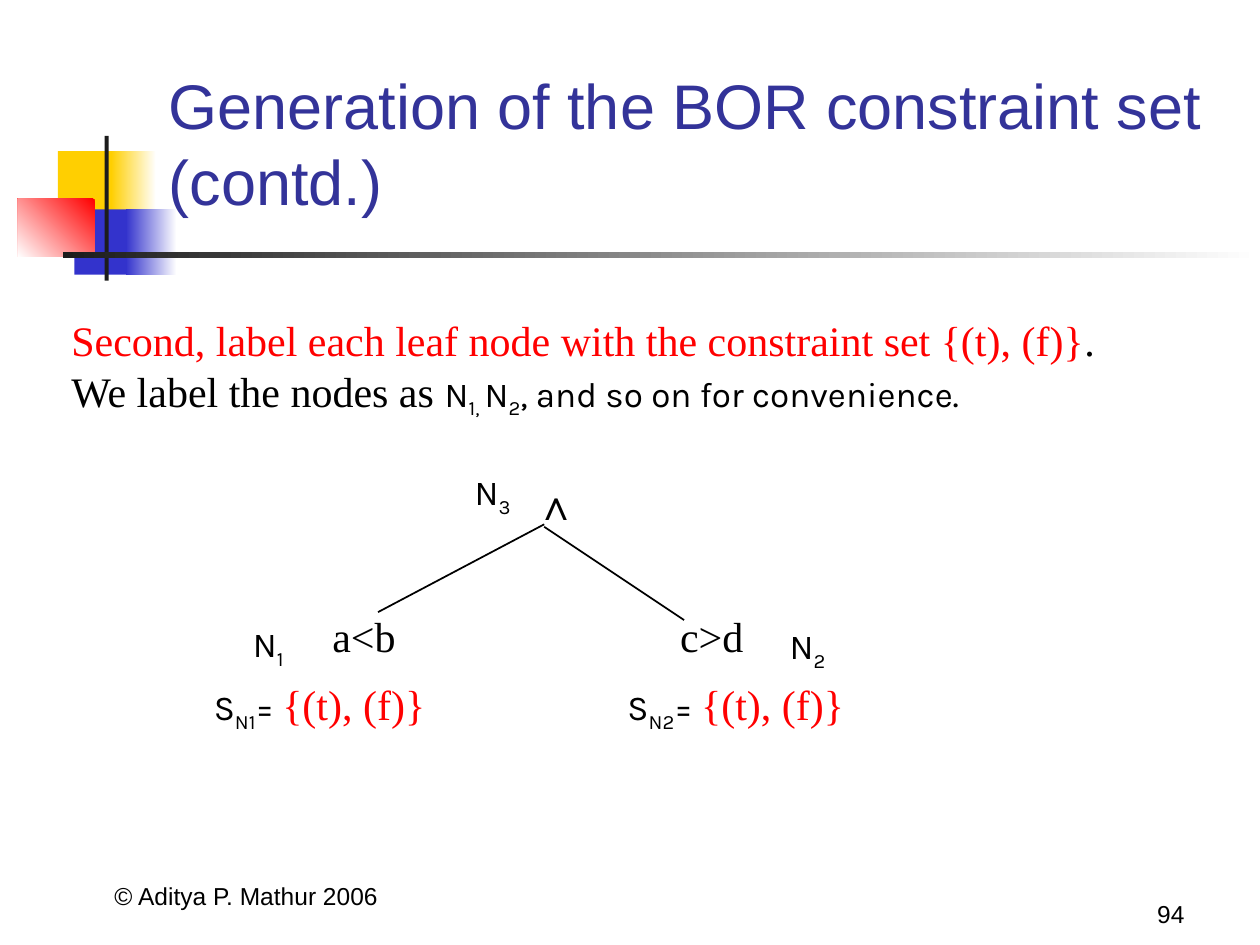
"""Build the slide on generating the BOR constraint set."""
from lxml.etree import SubElement
from pptx import Presentation
from pptx.dml.color import RGBColor
from pptx.enum.shapes import MSO_CONNECTOR, MSO_SHAPE
from pptx.enum.text import MSO_ANCHOR, MSO_AUTO_SIZE, PP_ALIGN
from pptx.oxml.ns import qn
from pptx.util import Cm, Pt

COLORS = {
    "white": "FFFFFF", "black": "000000", "dark": "1C1C1C", "red": "FF0000",
    "yellow": "FFCF01", "blue": "3333CC", "title": "333399",
}
STYLES = {
    "title": ("Arial", 36, "title"),
    "footer": ("Arial", 14, "black"),
    "operator": ("Arial", 24, "black"),
    "body": ("Times New Roman", 24, "black"),
    "set": ("Times New Roman", 24, "red"),
    "node": ("Karla", 20, "black"),
}


def color(name):
    return RGBColor.from_string(COLORS[name])


def set_font(font, style):
    name, size, shade = STYLES[style]
    font.name, font.size = name, Pt(size)
    font.color.rgb = color(shade)


def add_block(shapes, box, *shades, angle=180):
    sp = shapes.add_shape(MSO_SHAPE.RECTANGLE, *map(Cm, box))
    sp.shadow.inherit = False
    sp.line.fill.background()
    if len(shades) == 1:
        sp.fill.solid()
        sp.fill.fore_color.rgb = color(shades[0])
        return
    sp.fill.gradient()
    sp.fill.gradient_angle = angle
    for stop, shade in zip(sp.fill.gradient_stops, shades):
        stop.color.rgb = color(shade)


def add_text(shapes, box, *lines, wrap=True, grow=True, align=PP_ALIGN.LEFT):
    """Each line is a list of (text, style) runs; a third item marks a subscript."""
    tf = shapes.add_textbox(*map(Cm, box)).text_frame
    tf.word_wrap = wrap
    tf.auto_size = MSO_AUTO_SIZE.SHAPE_TO_FIT_TEXT if grow else MSO_AUTO_SIZE.NONE
    tf.vertical_anchor = MSO_ANCHOR.TOP if grow else MSO_ANCHOR.BOTTOM
    for i, runs in enumerate(lines):
        p = tf.add_paragraph() if i else tf.paragraphs[0]
        p.alignment = align
        uniform = len({run[1] for run in runs}) == 1
        if uniform:
            set_font(p.font, runs[0][1])
        for text, style, *sub in runs:
            r = p.add_run()
            r.text = text
            if not uniform:
                set_font(r.font, style)
            if sub:
                r._r.get_or_add_rPr().set("baseline", "-25000")


def add_branch(shapes, start, end):
    line = shapes.add_connector(MSO_CONNECTOR.STRAIGHT, *map(Cm, start + end))
    line.line.color.rgb = color("black")
    line.line.width = Pt(1)
    SubElement(line._element.spPr, qn("a:effectLst"))


def add_decoration(shapes):
    add_block(shapes, (1.17, 3.05, 1.22, 1.32), "yellow")
    add_block(shapes, (2.24, 3.05, 0.91, 1.32), "white", "yellow")
    add_block(shapes, (1.5, 4.22, 1.17, 1.32), "blue")
    add_block(shapes, (2.54, 4.22, 1.02, 1.32), "white", "blue")
    add_block(shapes, (0.36, 4.01, 1.55, 1.17), "red", "white", angle=225)
    add_block(shapes, (2.11, 2.74, 0.08, 2.92), "dark")
    add_block(shapes, (1.27, 5.08, 24.13, 0.13), "white", "dark")


def add_tree(shapes):
    add_text(shapes, (6.45, 12.19, 2.44, 1.27), [("a<b", "body")])
    add_text(shapes, (13.46, 12.19, 2.84, 1.27), [("c>d", "body")])
    add_text(shapes, (10.54, 9.53, 1.22, 1.27), [("∧", "operator")])
    add_branch(shapes, (10.97, 10.57), (7.62, 12.34))
    add_branch(shapes, (10.97, 10.62), (13.79, 12.5))
    for number, left, top in (("1", 4.85, 12.42), ("2", 15.67, 12.47), ("3", 9.32, 9.37)):
        add_text(shapes, (left, top, 1.27, 1.22),
                 [("N", "node"), (number, "node", True)], wrap=False)
    for node, left in (("N1", 4.06), ("N2", 12.4)):
        add_text(shapes, (left, 13.56, 4.9, 1.37),
                 [("S", "node"), (node, "node", True), ("= ", "node"),
                  ("{(t), (f)}", "set")], wrap=False)


def main():
    prs = Presentation()
    prs.slide_width, prs.slide_height = Cm(25.4), Cm(19.05)
    s = prs.slides.add_slide(prs.slide_layouts[6])
    add_decoration(s.shapes)
    add_text(s.shapes, (0.94, 17.2, 8.05, 1.27),
             [("© Aditya P. Mathur 2006", "footer")], grow=False, align=PP_ALIGN.CENTER)
    add_text(s.shapes, (18.85, 17.58, 5.28, 1.27),
             [("94", "footer")], grow=False, align=PP_ALIGN.RIGHT)
    add_text(s.shapes, (3.15, 2.72, 21.64, 1.8),
             [("Generation of the BOR constraint set (contd.)", "title")], grow=False)
    add_text(s.shapes, (1.19, 6.22, 21.34, 2.39),
             [("Second, label each leaf node with the constraint set {(t), (f)}", "set"),
              (".", "body")],
             [("We label the nodes as ", "body"), ("N", "node"), ("1, ", "node", True),
              ("N", "node"), ("2", "node", True),
              (", and so on for convenience.", "node")], wrap=False)
    add_tree(s.shapes.add_group_shape().shapes)
    prs.save("out.pptx")


if __name__ == "__main__":
    main()
